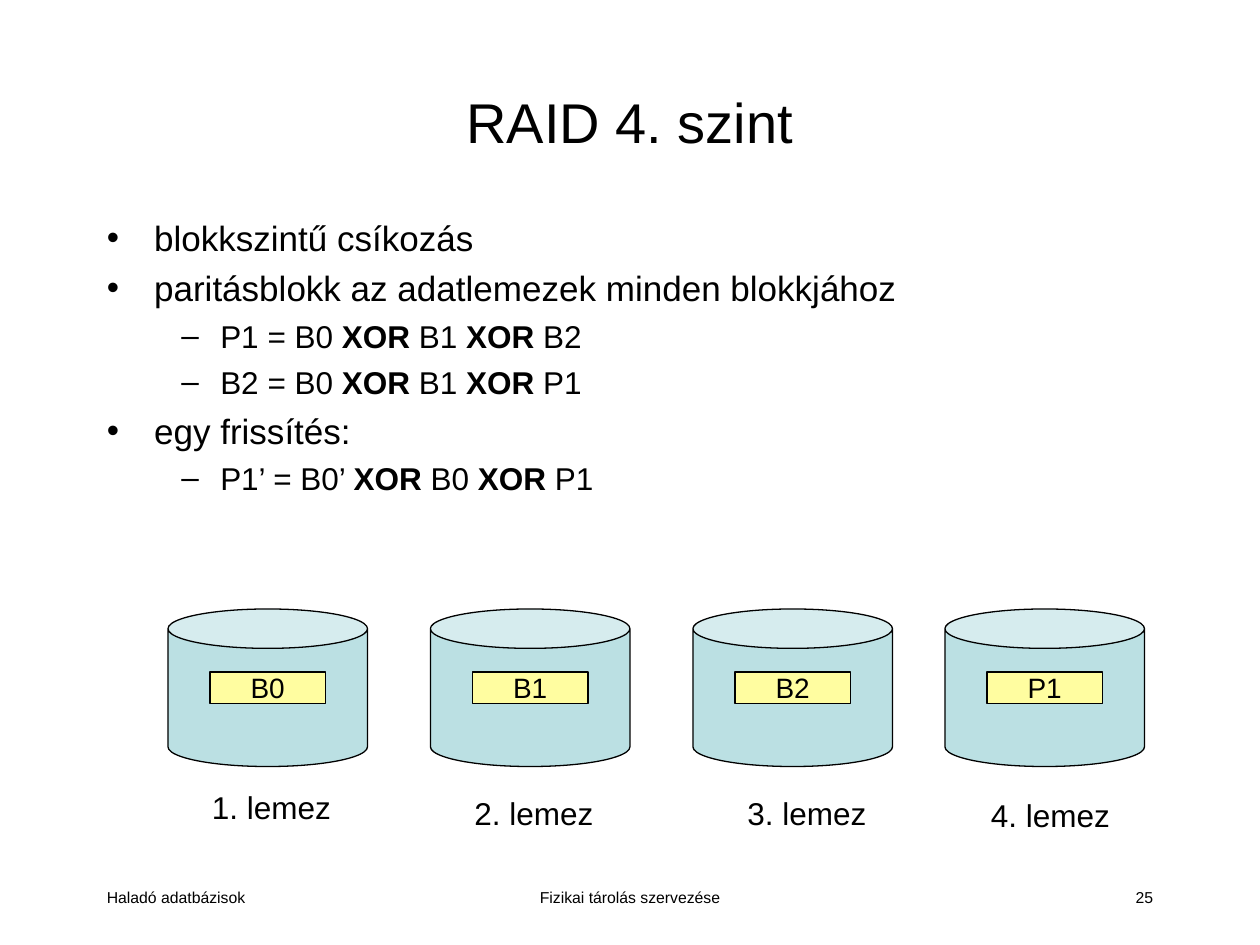
from dataclasses import dataclass

from lxml.etree import SubElement
from pptx import Presentation
from pptx.dml.color import RGBColor
from pptx.enum.shapes import MSO_SHAPE as Shape
from pptx.enum.text import MSO_ANCHOR as Anchor, MSO_AUTO_SIZE as AutoSize, PP_ALIGN as Align
from pptx.oxml.ns import qn
from pptx.util import Emu, Pt

PX = 7620  # 120 px to the inch


@dataclass(frozen=True)
class Theme:
    font: str = "Arial"
    ink: str = "000000"
    disk: str = "BBE0E3"
    block: str = "FFFDA0"
    outline: float = 0.75
    title: int = 32
    levels: tuple = (20, 18)
    label: int = 18
    block_text: int = 16
    footer: int = 9


THEME = Theme()

# Bullet character, left margin, hanging indent and space before, by level
BULLETS = (("•", 45, 45, 5), ("–", 108, 37, 4.5))

POINTS = (
    (0, "blokkszintű csíkozás"),
    (0, "paritásblokk az adatlemezek minden blokkjához"),
    (1, "P1 = B0 *XOR* B1 *XOR* B2"),
    (1, "B2 = B0 *XOR* B1 *XOR* P1"),
    (0, "egy frissítés:"),
    (1, "P1’ = B0’ *XOR* B0 *XOR* P1"),
)

# Disk left edge, block name, disk label, label offset from the disk
DISKS = (
    (160, "B0", "1. lemez", (30, 165)),
    (410, "B1", "2. lemez", (30, 170)),
    (660, "B2", "3. lemez", (40, 170)),
    (900, "P1", "4. lemez", (32, 172)),
)


def emu(*lengths):
    return [Emu(length * PX) for length in lengths]


def write(paragraph, text, *, size, align=Align.LEFT):
    """Add text as runs; parts between asterisks are bold."""
    paragraph.alignment = align
    for index, part in enumerate(text.split("*")):
        if not part:
            continue
        run = paragraph.add_run()
        run.text = part
        run.font.name = THEME.font
        run.font.size = Pt(size)
        run.font.bold = index % 2 == 1
        run.font.color.rgb = RGBColor.from_string(THEME.ink)


def add_text(slide, box, text, *, size, align=Align.LEFT, anchor=Anchor.TOP, wrap=True):
    frame = slide.shapes.add_textbox(*emu(*box)).text_frame
    frame.word_wrap = wrap
    frame.auto_size = AutoSize.NONE if wrap else AutoSize.SHAPE_TO_FIT_TEXT
    frame.vertical_anchor = anchor
    write(frame.paragraphs[0], text, size=size, align=align)


def add_outlined(slide, kind, box, fill):
    shape = slide.shapes.add_shape(kind, *emu(*box))
    shape.shadow.inherit = False
    shape.fill.solid()
    shape.fill.fore_color.rgb = RGBColor.from_string(fill)
    shape.line.color.rgb = RGBColor.from_string(THEME.ink)
    shape.line.width = Pt(THEME.outline)
    return shape


def set_bullet(paragraph, level):
    mark, margin, hanging, space = BULLETS[level]
    paragraph.level = level
    paragraph.space_before = Pt(space)
    properties = paragraph._p.get_or_add_pPr()
    properties.set("marL", str(margin * PX))
    properties.set("indent", str(-hanging * PX))
    color = SubElement(properties, qn("a:buClr"))
    SubElement(color, qn("a:srgbClr"), val=THEME.ink)
    SubElement(properties, qn("a:buFont"), typeface=THEME.font)
    SubElement(properties, qn("a:buChar"), char=mark)


def add_points(slide, box):
    frame = slide.shapes.add_textbox(*emu(*box)).text_frame
    frame.word_wrap = True
    for index, (level, text) in enumerate(POINTS):
        paragraph = frame.add_paragraph() if index else frame.paragraphs[0]
        write(paragraph, text, size=THEME.levels[level])
        set_bullet(paragraph, level)


def add_disk(slide, box, block_name, label, label_offset):
    left, top, _, _ = box
    add_outlined(slide, Shape.CAN, box, THEME.disk).adjustments[0] = 0.25

    dx, dy = label_offset
    add_text(slide, (left + dx, top + dy, 137, 48), label,
             size=THEME.label, align=Align.CENTER, wrap=False)

    block = add_outlined(slide, Shape.RECTANGLE, (left + 40, top + 60, 110, 30), THEME.block)
    block.text_frame.word_wrap = False
    block.text_frame.vertical_anchor = Anchor.MIDDLE
    write(block.text_frame.paragraphs[0], block_name,
          size=THEME.block_text, align=Align.CENTER)


def add_footer(slide, box):
    left, top, width, height = box
    side, middle = 250, 380
    parts = (
        (left, side, "Haladó adatbázisok", Align.LEFT),
        (left + (width - middle) // 2, middle, "Fizikai tárolás szervezése", Align.CENTER),
        (left + width - side, side, "25", Align.RIGHT),
    )
    for x, part_width, text, align in parts:
        add_text(slide, (x, top, part_width, height), text, size=THEME.footer, align=align)


def main():
    deck = Presentation()
    deck.slide_width, deck.slide_height = emu(1200, 900)
    slide = deck.slides.add_slide(deck.slide_layouts[6])

    add_footer(slide, (90, 840, 1020, 40))
    add_text(slide, (90, 40, 1020, 150), "RAID 4. szint",
             size=THEME.title, align=Align.CENTER, anchor=Anchor.MIDDLE)
    add_points(slide, (90, 200, 1020, 620))
    for left, block_name, label, label_offset in DISKS:
        add_disk(slide, (left, 580, 190, 150), block_name, label, label_offset)

    deck.save("out.pptx")


if __name__ == "__main__":
    main()
